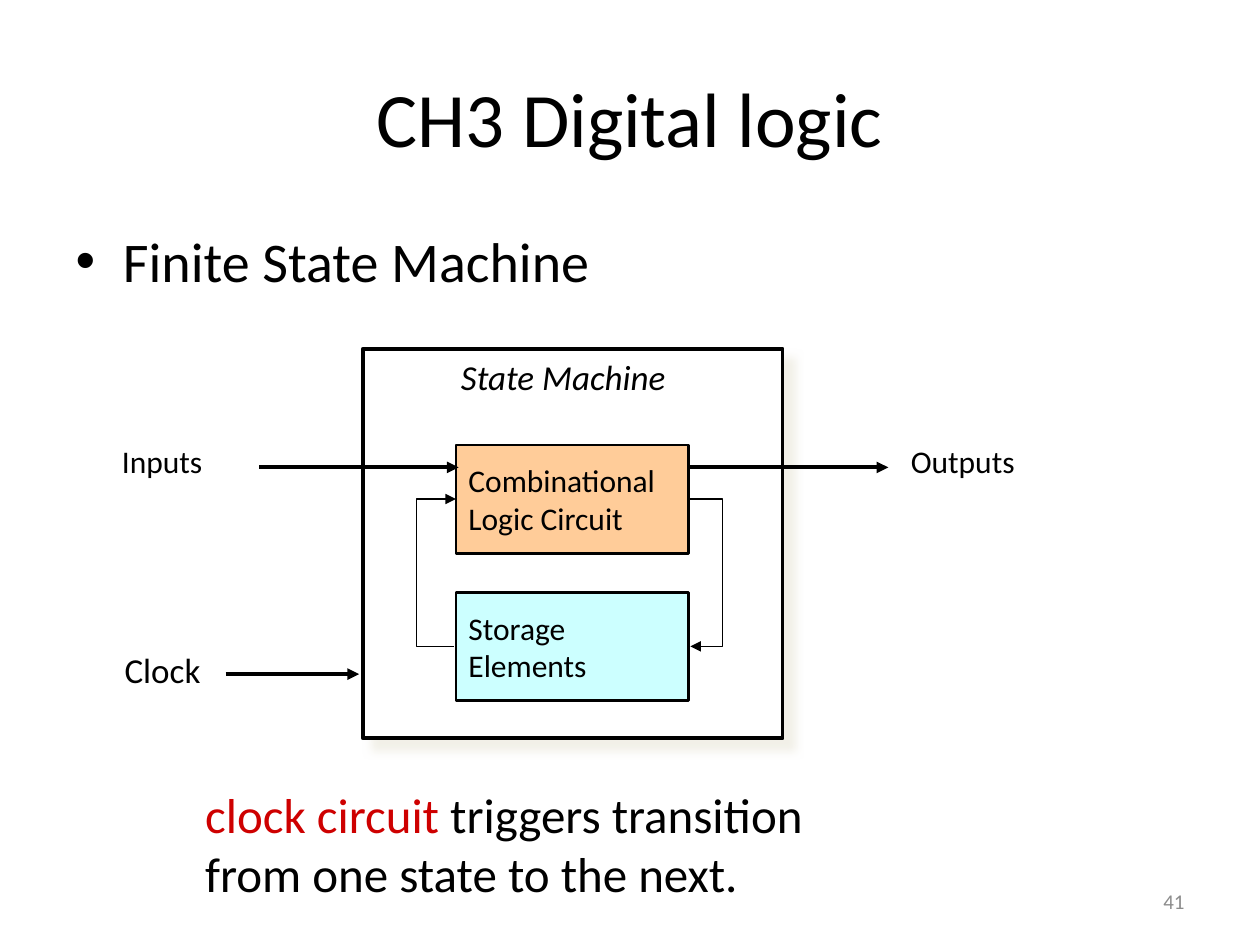
"""Build the finite state machine slide of the digital logic chapter."""
from dataclasses import dataclass

from lxml.etree import SubElement
from pptx import Presentation
from pptx.dml.color import RGBColor
from pptx.enum.shapes import MSO_CONNECTOR, MSO_SHAPE
from pptx.enum.text import MSO_ANCHOR, PP_ALIGN
from pptx.oxml.ns import qn
from pptx.util import Pt

COLORS = {
    "black": "000000", "white": "FFFFFF", "logic": "FFCC99", "storage": "CCFFFF",
    "shadow": "EEECE1", "accent": "CE0000", "number": "8C8C8C",
}


@dataclass
class Label:
    text: str
    x: float
    y: float
    w: float
    h: float
    size: float = 18
    italic: bool = False
    color: str = "black"
    lead: str = ""
    align: PP_ALIGN = PP_ALIGN.LEFT
    anchor: MSO_ANCHOR = MSO_ANCHOR.TOP


@dataclass
class Box:
    text: str
    x: float
    y: float
    w: float
    h: float
    fill: str
    line: float


@dataclass
class Arrow:
    x1: float
    y1: float
    x2: float
    y2: float
    width: float = 2.25
    bend: float = 0


def rgb(name):
    return RGBColor.from_string(COLORS[name])


def write(tf, text, *, size=18, color="black", italic=False, lead="",
          align=PP_ALIGN.LEFT, anchor=MSO_ANCHOR.TOP):
    tf.word_wrap = True
    tf.vertical_anchor = anchor
    for i, row in enumerate(text.split("\n")):
        p = tf.add_paragraph() if i else tf.paragraphs[0]
        p.alignment = align
        p.space_before = Pt(0)
        parts = [(lead, "accent")] if lead and not i else []
        for part, tone in parts + [(row, color)]:
            r = p.add_run()
            r.text = part
            r.font.name = "Calibri"
            r.font.size = Pt(size)
            r.font.italic = italic
            r.font.color.rgb = rgb(tone)


def place(sp, x, y, w, h):
    sp.left, sp.top, sp.width, sp.height = Pt(x), Pt(y), Pt(w), Pt(h)


def add_label(shapes, label: Label):
    sp = shapes.add_textbox(Pt(label.x), Pt(label.y), Pt(label.w), Pt(label.h))
    write(sp.text_frame, label.text, size=label.size, color=label.color,
          italic=label.italic, lead=label.lead, align=label.align, anchor=label.anchor)


def add_box(shapes, box: Box):
    sp = shapes.add_shape(MSO_SHAPE.RECTANGLE, Pt(box.x), Pt(box.y), Pt(box.w), Pt(box.h))
    sp.shadow.inherit = False
    sp.fill.solid()
    sp.fill.fore_color.rgb = rgb(box.fill)
    sp.line.color.rgb = rgb("black")
    sp.line.width = Pt(box.line)
    if box.text:
        write(sp.text_frame, box.text, anchor=MSO_ANCHOR.MIDDLE)
    return sp


def add_shadow(sp):
    effects = sp._element.spPr.find(qn("a:effectLst"))
    shadow = SubElement(effects, qn("a:outerShdw"), blurRad=str(Pt(5)), dist=str(Pt(8.5)),
                        dir=str(45 * 60000), algn="ctr", rotWithShape="0")
    color = SubElement(shadow, qn("a:srgbClr"), val=COLORS["shadow"])
    SubElement(color, qn("a:alpha"), val="75000")


def add_arrow(shapes, arrow: Arrow):
    kind = MSO_CONNECTOR.ELBOW if arrow.bend else MSO_CONNECTOR.STRAIGHT
    sp = shapes.add_connector(kind, Pt(arrow.x1), Pt(arrow.y1), Pt(arrow.x2), Pt(arrow.y2))
    sp.line.color.rgb = rgb("black")
    sp.line.width = Pt(arrow.width)
    props = sp._element.spPr
    SubElement(props.find(qn("a:ln")), qn("a:tailEnd"), type="triangle")
    SubElement(props, qn("a:effectLst"))
    if arrow.bend:
        ratio = round(arrow.bend / (arrow.x2 - arrow.x1) * 100000)
        guides = props.find(qn("a:prstGeom")).get_or_add_avLst()
        SubElement(guides, qn("a:gd"), name="adj1", fmla=f"val {ratio}")


LABELS = [
    Label("State Machine", 256.3, 199.4, 142.6, 31, size=20, italic=True),
    Label("Inputs", 62.6, 249.1, 80, 36),
    Label("Outputs", 513.4, 249.1, 98.6, 36),
    Label("Clock", 64.1, 367.2, 64.8, 31, size=20),
    Label(" triggers transition from one state to the next.", 110.2, 445, 360, 74.9,
          size=28, lead="clock circuit"),
    Label("41", 516, 500.5, 168, 28.75, size=12, color="number",
          align=PP_ALIGN.RIGHT, anchor=MSO_ANCHOR.MIDDLE),
]
BOXES = [
    Box("Combinational\nLogic Circuit", 260.6, 254.2, 132.8, 62, "logic", 1.5),
    Box("Storage\nElements", 260.6, 338.4, 132.8, 62, "storage", 1.5),
]
LOGIC_Y, STORAGE_Y = (box.y + box.h / 2 for box in BOXES)
ARROWS = [
    Arrow(148.3, 267.1, 262.1, 267.1),
    Arrow(393.8, 267.1, 507.6, 267.1),
    Arrow(393.5, LOGIC_Y, 394.5, STORAGE_Y, width=0.75, bend=19.5),
    Arrow(259.5, STORAGE_Y, 260.5, LOGIC_Y, width=0.75, bend=-21.5),
    Arrow(128.9, 385.2, 205.2, 385.2),
]


def main():
    prs = Presentation()
    prs.slide_width, prs.slide_height = Pt(720), Pt(540)
    shapes = prs.slides.add_slide(prs.slide_layouts[1]).shapes

    title, body = shapes.title, shapes.placeholders[1]
    place(title, 36, 21.6, 648, 90)
    write(title.text_frame, "CH3 Digital logic", size=44,
          align=PP_ALIGN.CENTER, anchor=MSO_ANCHOR.MIDDLE)
    place(body, 36, 126, 648, 356.4)
    write(body.text_frame, "Finite State Machine", size=32)

    add_shadow(add_box(shapes, Box("", 207.4, 199.4, 239.8, 222.5, "white", 2.25)))
    for box in BOXES:
        add_box(shapes, box)
    for label in LABELS:
        add_label(shapes, label)
    for arrow in ARROWS:
        add_arrow(shapes, arrow)
    prs.save("out.pptx")


if __name__ == "__main__":
    main()
